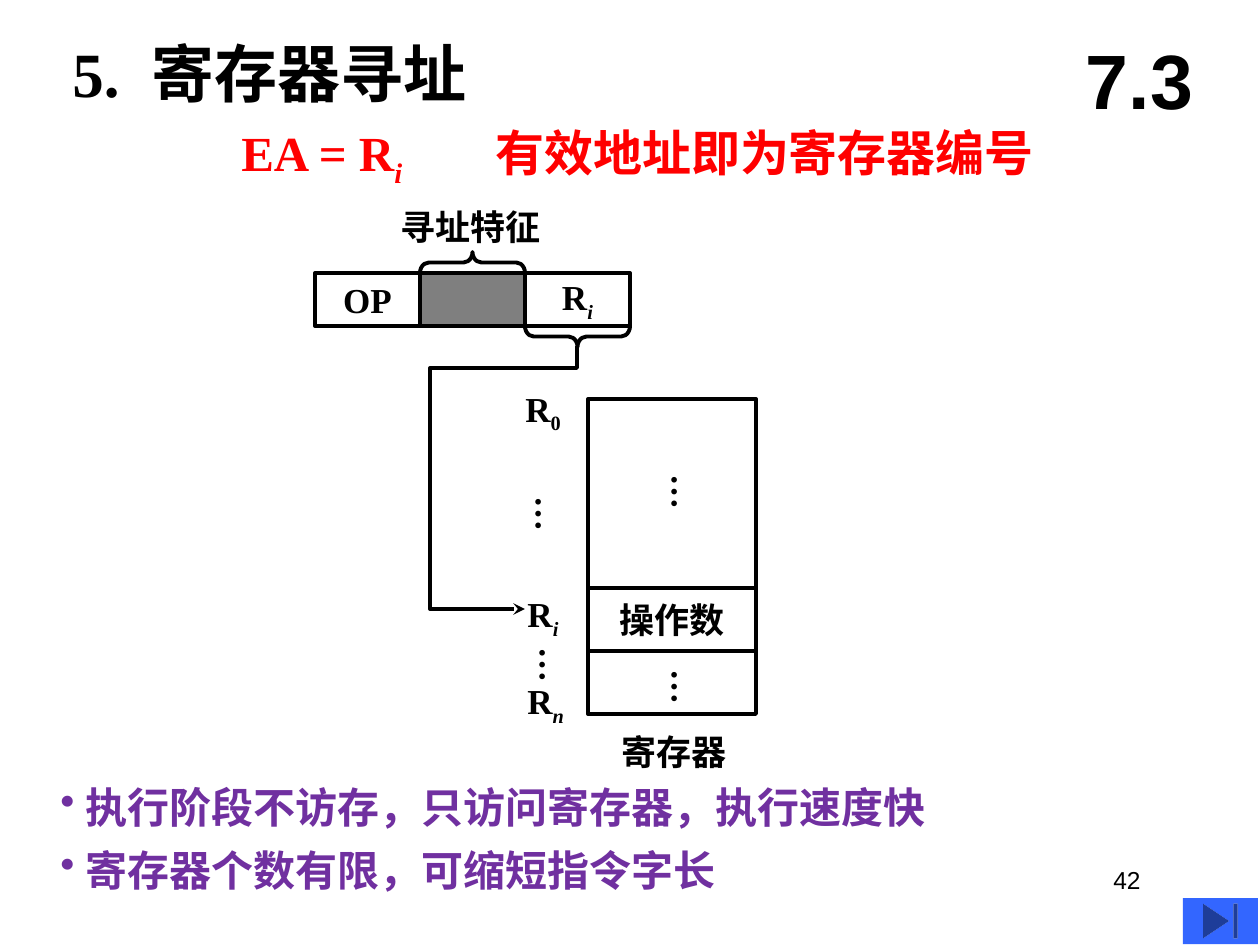
from lxml import etree
from pptx import Presentation
from pptx import util as u
from pptx.dml.color import RGBColor
from pptx.enum import shapes, text
from pptx.oxml import ns

PX = 914400 / 126
THEME = {
    "black": RGBColor(0, 0, 0),
    "red": RGBColor(255, 0, 0),
    "purple": RGBColor(0x70, 0x30, 0xA0),
    "button": RGBColor(0x33, 0x66, 0xFF),
    "serif": "Times New Roman",
    "sans": "Arial",
    "title": 36,
    "section": 44,
    "formula": 28,
    "point": 24,
    "label": 20,
    "number": 14,
    "line": 2.25,
}
LEFT, CENTER, RIGHT = text.PP_ALIGN.LEFT, text.PP_ALIGN.CENTER, text.PP_ALIGN.RIGHT

deck = Presentation()
deck.slide_width, deck.slide_height = u.Inches(10), u.Inches(7.5)
slide = deck.slides.add_slide(deck.slide_layouts[6])


def write(box, runs, size="label", color="black", font="serif", align=LEFT, bold=True, wrap=False):
    box.text_frame.word_wrap = wrap
    paragraph = box.text_frame.paragraphs[0]
    paragraph.alignment = align
    for content, style in runs:
        run = paragraph.add_run()
        run.text = content
        run.font.name = THEME[font]
        run.font.size = u.Pt(THEME[size])
        run.font.bold = bold
        run.font.color.rgb = THEME[color]
        run.font.italic = "i" in style
        if "sub" in style:
            run._r.get_or_add_rPr().set("baseline", "-25000")
    return paragraph


def outline(part):
    part.shadow.inherit = False
    part.fill.background()
    part.line.color.rgb = THEME["black"]
    part.line.width = u.Pt(THEME["line"])
    return part


def_index = ("sub", "i")
R_I = [("R", ()), ("i", def_index)]

captions = [
    ((60, 28, 475, 88), [("5.\t寄存器寻址", ())], {"size": "title", "wrap": True}),
    ((229, 116, 190, 72), [("EA = R", ()), ("i", def_index)], {"size": "formula", "color": "red"}),
    ((483, 116, 609, 72), [("有效地址即为寄存器编号", ())], {"size": "formula", "color": "red", "wrap": True}),
    ((388, 199, 166, 54), [("寻址特征", ())], {}),
    ((513, 381, 62, 54), [("R", ()), ("0", ("sub",))], {}),
    ((515, 586, 57, 54), R_I, {}),
    ((515, 673, 63, 54), [("R", ()), ("n", def_index)], {}),
    ((609, 724, 168, 54), [("寄存器", ())], {"wrap": True}),
    ((859, 859, 294, 66), [("42", ())],
     {"size": "number", "font": "sans", "align": RIGHT, "bold": False, "wrap": True}),
]
for place, runs, look in captions:
    caption = slide.shapes.add_textbox(*[round(v * PX) for v in place])
    paragraph = write(caption, runs, **look)
    if "\t" in runs[0][0]:
        tabs = etree.SubElement(paragraph._p.get_or_add_pPr(), ns.qn("a:tabLst"))
        etree.SubElement(tabs, ns.qn("a:tab"), pos=str(round(79 * PX)), algn="l")

section = slide.shapes.add_textbox(*[round(v * PX) for v in (1061, 21, 157, 116)])
section.text_frame.vertical_anchor = text.MSO_ANCHOR.MIDDLE
write(section, [("7.3", ())], size="section", font="sans", align=CENTER, wrap=True)

cells = [
    ((315, 273, 105, 53), [("OP", ())]),
    ((420, 273, 105, 53), []),
    ((525, 273, 105, 53), R_I),
    ((588, 399, 168, 189), []),
    ((588, 588, 168, 63), [("操作数", ())]),
    ((588, 651, 168, 63), []),
]
for index, (place, runs) in enumerate(cells):
    cell = outline(slide.shapes.add_shape(shapes.MSO_SHAPE.RECTANGLE, *[round(v * PX) for v in place]))
    cell.text_frame.vertical_anchor = text.MSO_ANCHOR.MIDDLE
    write(cell, runs, align=CENTER)
    if index == 1:
        cell.fill.solid()
        cell.fill.fore_color.rgb = THEME["black"]
        shade = cell._element.spPr.find(".//" + ns.qn("a:srgbClr"))
        etree.SubElement(shade, ns.qn("a:alpha"), val="50000")

for left, top, turn in [(462, 210, 90), (567, 284, 270)]:
    brace = outline(slide.shapes.add_shape(
        shapes.MSO_SHAPE.LEFT_BRACE, *[round(v * PX) for v in (left, top, 21, 105)]))
    brace.adjustments[0] = 0.42
    brace.rotation = turn

route = slide.shapes.build_freeform(577, 346, scale=PX)
route.add_line_segments([(577, 368), (430, 368), (430, 609), (525, 609)], close=False)
pointer = outline(route.convert_to_shape())
etree.SubElement(pointer.line._get_or_add_ln(), ns.qn("a:tailEnd"), type="stealth")

for left, top in [(646, 462), (646, 657), (510, 484), (514, 635)]:
    dots = slide.shapes.add_textbox(*[round(v * PX) for v in (left, top, 67, 48)])
    write(dots, [("…", ())])
    dots.text_frame._txBody.bodyPr.set("vert", "eaVert")

points = ["执行阶段不访存，只访问寄存器，执行速度快", "寄存器个数有限，可缩短指令字长"]
for row, content in enumerate(points):
    point = slide.shapes.add_textbox(*[round(v * PX) for v in (48, 775 + 63 * row, 935, 63)])
    paragraph = write(point, [(content, ())], size="point", color="purple", wrap=True)
    props = paragraph._p.get_or_add_pPr()
    props.set("marL", str(round(25 * PX)))
    props.set("indent", str(round(-25 * PX)))
    etree.SubElement(props, ns.qn("a:buChar"), char="•")

button = slide.shapes.add_shape(
    shapes.MSO_SHAPE.ACTION_BUTTON_END, *[round(v * PX) for v in (1183, 898, 75, 46)])
button.shadow.inherit = False
button.fill.solid()
button.fill.fore_color.rgb = THEME["button"]
button.line.fill.background()

deck.save("out.pptx")
